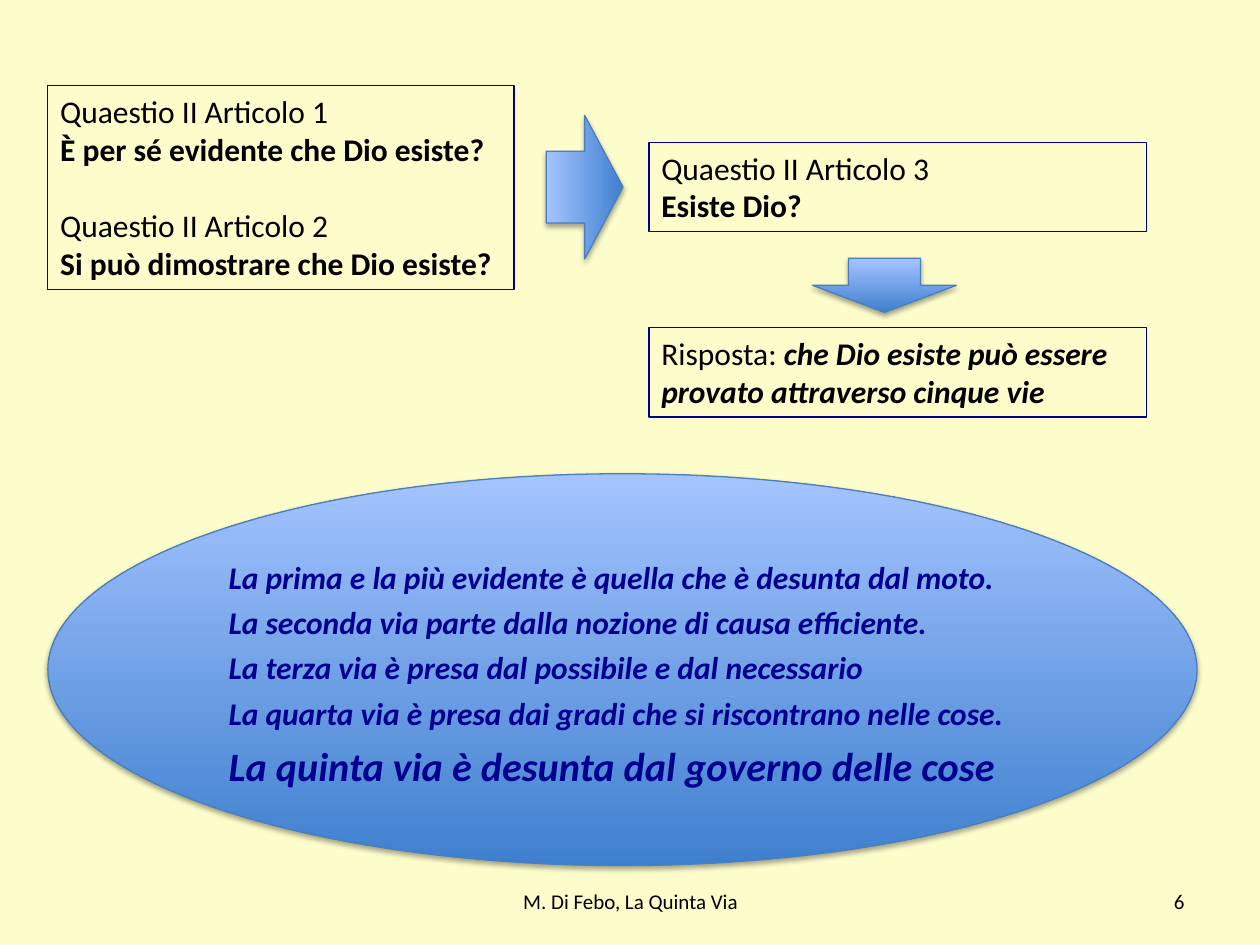
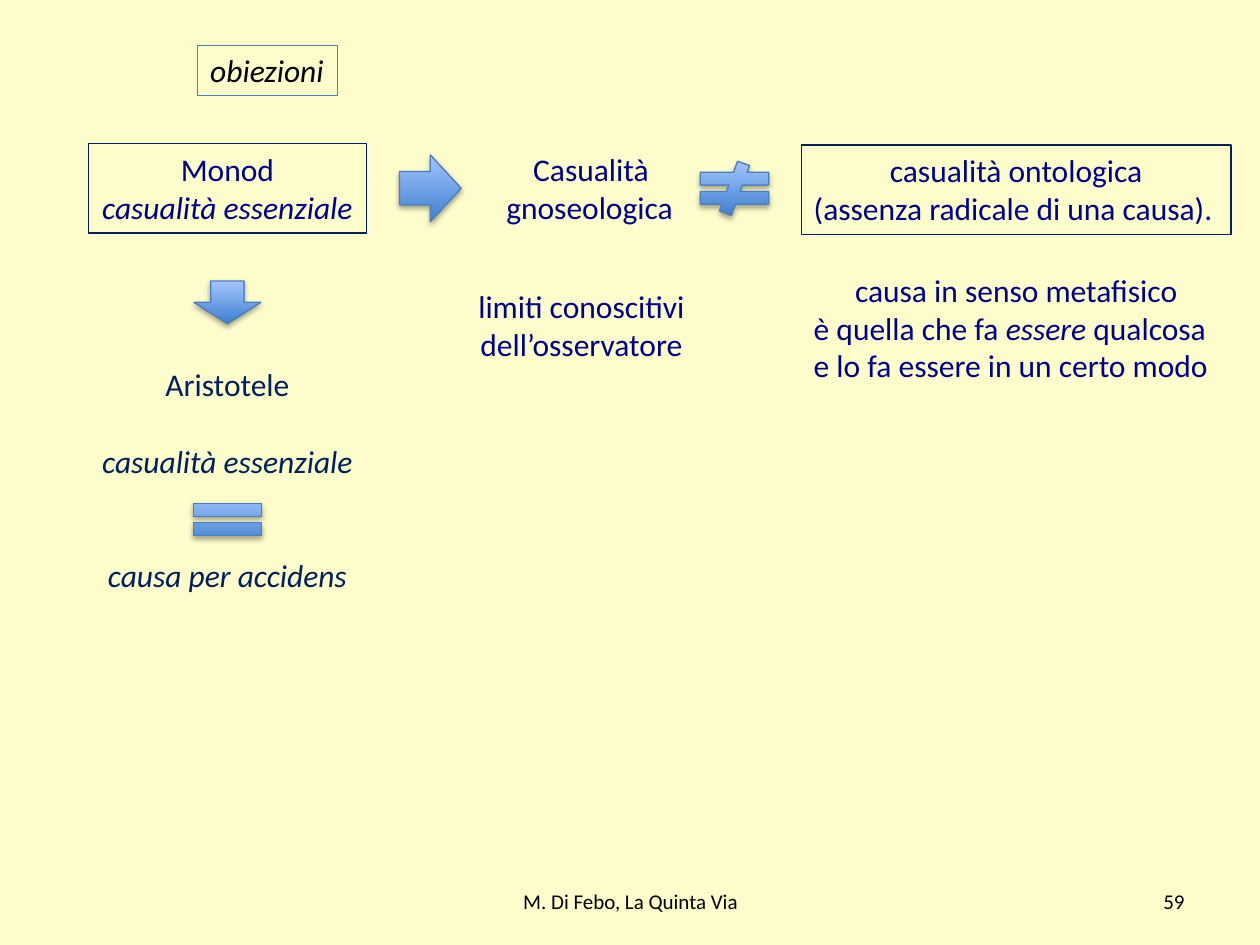
from dataclasses import dataclass

from lxml import etree
from pptx import Presentation
from pptx import util as u
from pptx.dml.color import RGBColor
from pptx.enum import shapes, text
from pptx.oxml.ns import qn


@dataclass(frozen=True)
class Theme:
    font: str = "Calibri"
    paper: str = "FDFCCB"
    ink: str = "000000"
    blue: str = "000090"
    navy: str = "002060"
    frame: str = "4F81BD"
    edge: str = "4B7EBC"
    dark: str = "3F80CE"
    light: str = "A4C4FF"
    body: int = 18
    strong: int = 23
    footer: int = 12
    line: float = 0.75
    blank_line: int = 22


THEME = Theme()
KIND = shapes.MSO_SHAPE
LEFT, CENTER, RIGHT = text.PP_ALIGN.LEFT, text.PP_ALIGN.CENTER, text.PP_ALIGN.RIGHT
FOOTER = "M. Di Febo, La Quinta Via"
FOOTER_TOP, FOOTER_HEIGHT = 6.95, 0.4

ANSWER_LEFT, ANSWER_WIDTH, TWO_LINES = 5.15, 3.95, 0.71
MONOD_LEFT, MONOD_WIDTH = 0.7, 2.21
ONTOLOGY_LEFT, ONTOLOGY_WIDTH = 6.36, 3.41

WAYS = [
    "La prima e la più evidente è quella che è desunta dal moto.",
    "La seconda via parte dalla nozione di causa efficiente.",
    "La terza via è presa dal possibile e dal necessario",
    "La quarta via è presa dai gradi che si riscontrano nelle cose.",
]
FIFTH_WAY = "La quinta via è desunta dal governo delle cose"


def line(*spans, **layout):
    return spans, layout


def bold(words):
    return words, {"bold": True}


def italic(words):
    return words, {"italic": True}


def way(words, size=THEME.body):
    return line((words, {"bold": True, "italic": True, "size": size}), spacing=1.2)


PAGES = [
    {
        "number": "6",
        "texts": [
            {"at": (0.38, 0.68, 3.7, 1.62), "frame": THEME.blue, "lines": [
                line("Quaestio II Articolo 1"),
                line(bold("È per sé evidente che Dio esiste?")),
                line("Quaestio II Articolo 2", before=THEME.blank_line),
                line(bold("Si può dimostrare che Dio esiste?"))]},
            {"at": (ANSWER_LEFT, 1.13, ANSWER_WIDTH, TWO_LINES), "frame": THEME.blue, "lines": [
                line("Quaestio II Articolo 3"),
                line(bold("Esiste Dio?"))]},
            {"at": (ANSWER_LEFT, 2.6, ANSWER_WIDTH, TWO_LINES), "frame": THEME.blue, "lines": [
                line("Risposta: ",
                     ("che Dio esiste può essere provato attraverso cinque vie",
                      {"bold": True, "italic": True}))]},
        ],
        "symbols": [
            {"kind": KIND.DOWN_ARROW, "at": (6.45, 2.05, 1.14, 0.43)},
            {"kind": KIND.DOWN_ARROW, "at": (4.07, 1.18, 1.14, 0.61), "turn": 270},
            {"kind": KIND.OVAL, "at": (0.38, 3.76, 9.12, 3.11),
             "lines": [way(words) for words in WAYS] + [way(FIFTH_WAY, THEME.strong)]},
        ],
    },
    {
        "number": "59",
        "texts": [
            {"at": (1.57, 0.36, 1.11, 0.4), "frame": THEME.frame, "wrap": False,
             "lines": [line(italic("obiezioni"))]},
            {"at": (MONOD_LEFT, 1.14, MONOD_WIDTH, TWO_LINES), "frame": THEME.navy,
             "color": THEME.blue, "wrap": False, "lines": [
                 line("Monod", align=CENTER),
                 line(italic("casualità essenziale"), align=CENTER)]},
            {"at": (3.92, 1.14, 1.54, TWO_LINES), "color": THEME.blue, "wrap": False, "lines": [
                line("Casualità", align=CENTER),
                line("gnoseologica")]},
            {"at": (ONTOLOGY_LEFT, 1.15, ONTOLOGY_WIDTH, TWO_LINES), "frame": THEME.navy,
             "color": THEME.blue, "lines": [
                 line("casualità ontologica", align=CENTER),
                 line("(assenza radicale di una causa).")]},
            {"at": (MONOD_LEFT, 2.85, MONOD_WIDTH, 1.92), "color": THEME.navy, "lines": [
                line("Aristotele", align=CENTER),
                line(italic("casualità essenziale"), align=CENTER, before=THEME.blank_line),
                line(italic("causa per accidens"), align=CENTER, before=2 * THEME.blank_line)]},
            {"at": (3.66, 2.23, 1.91, TWO_LINES), "color": THEME.blue, "lines": [
                line("limiti conoscitivi dell’osservatore", align=CENTER)]},
            {"at": (ONTOLOGY_LEFT, 2.1, ONTOLOGY_WIDTH, 1.01), "color": THEME.blue, "lines": [
                line("causa in senso metafisico", align=CENTER),
                line("è quella che fa ", italic("essere"),
                     " qualcosa e lo fa essere in un certo modo")]},
        ],
        "symbols": [
            {"kind": KIND.RIGHT_ARROW, "at": (3.17, 1.23, 0.49, 0.53)},
            {"kind": KIND.MATH_NOT_EQUAL, "at": (5.46, 1.28, 0.74, 0.43)},
            {"kind": KIND.DOWN_ARROW, "at": (1.54, 2.23, 0.53, 0.34)},
            {"kind": KIND.MATH_EQUAL, "at": (1.44, 3.91, 0.73, 0.43)},
        ],
    },
]


def rgb(color):
    return RGBColor.from_string(color)


def inches(at):
    return [u.Inches(length) for length in at]


def add_span(para, words, size=THEME.body, color=THEME.ink, bold=False, italic=False):
    span = para.add_run()
    span.text = words
    font = span.font
    font.name, font.size, font.bold, font.italic = THEME.font, u.Pt(size), bold, italic
    font.color.rgb = rgb(color)


def write(box, lines, color=THEME.ink, size=THEME.body, wrap=True,
          anchor=text.MSO_ANCHOR.TOP):
    frame = box.text_frame
    frame.word_wrap = wrap
    frame.vertical_anchor = anchor
    for index, (spans, layout) in enumerate(lines):
        para = frame.add_paragraph() if index else frame.paragraphs[0]
        para.alignment = layout.get("align", LEFT)
        para.line_spacing = layout.get("spacing", 1.0)
        para.space_before = u.Pt(layout.get("before", 0))
        for span in spans:
            words, style = (span, {}) if isinstance(span, str) else span
            add_span(para, words, **{"color": color, "size": size, **style})


def outline(box, color):
    box.line.color.rgb = rgb(color)
    box.line.width = u.Pt(THEME.line)


def add_text(page, at, lines, frame=None, **style):
    if frame:
        box = page.shapes.add_shape(KIND.RECTANGLE, *inches(at))
        box.shadow.inherit = False
        box.fill.background()
        outline(box, frame)
    else:
        box = page.shapes.add_textbox(*inches(at))
    write(box, lines, **style)


def add_shadow(box):
    box.shadow.inherit = False
    effects = box._element.spPr.find(qn("a:effectLst"))
    shadow = etree.SubElement(effects, qn("a:outerShdw"), blurRad=str(u.Pt(3.1)),
                              dist=str(u.Pt(1.8)), dir="5400000", rotWithShape="0")
    color = etree.SubElement(shadow, qn("a:srgbClr"), val=THEME.ink)
    etree.SubElement(color, qn("a:alpha"), val="35000")


def add_symbol(page, kind, at, turn=0, lines=()):
    box = page.shapes.add_shape(kind, *inches(at))
    box.rotation = turn
    box.fill.gradient()
    box.fill.gradient_angle = 90
    for stop, color in zip(box.fill.gradient_stops, (THEME.dark, THEME.light)):
        stop.color.rgb = rgb(color)
    outline(box, THEME.edge)
    add_shadow(box)
    if lines:
        write(box, lines, color=THEME.blue, anchor=text.MSO_ANCHOR.MIDDLE)


def add_footer(page, number):
    for left, width, words, align in ((3.42, 3.17, FOOTER, CENTER), (7.17, 2.33, number, RIGHT)):
        add_text(page, (left, FOOTER_TOP, width, FOOTER_HEIGHT), [line(words, align=align)],
                 size=THEME.footer, anchor=text.MSO_ANCHOR.MIDDLE)


def main():
    deck = Presentation()
    deck.slide_width, deck.slide_height = u.Inches(10), u.Inches(7.5)
    background = deck.slide_master.background.fill
    background.solid()
    background.fore_color.rgb = rgb(THEME.paper)
    for content in PAGES:
        page = deck.slides.add_slide(deck.slide_layouts[6])
        add_footer(page, content["number"])
        for block in content["texts"]:
            add_text(page, **block)
        for symbol in content["symbols"]:
            add_symbol(page, **symbol)
    deck.save("out.pptx")


if __name__ == "__main__":
    main()
